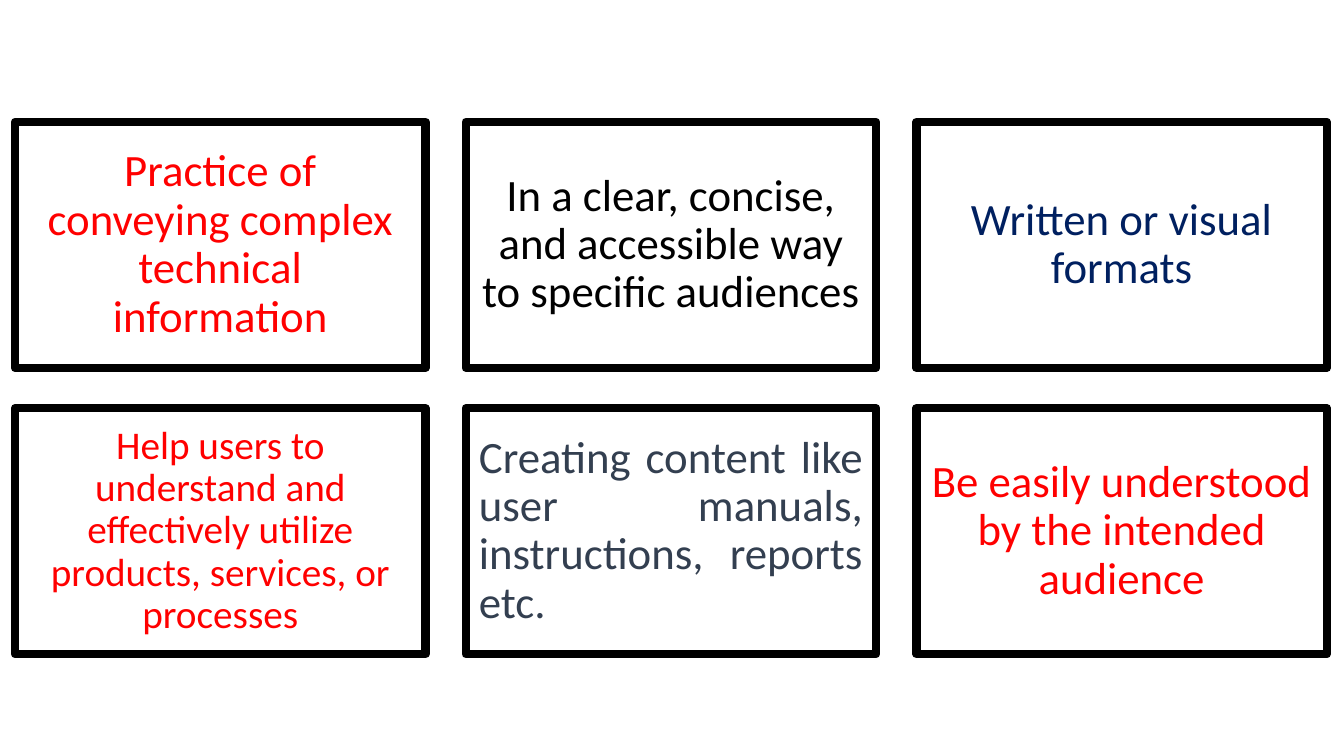
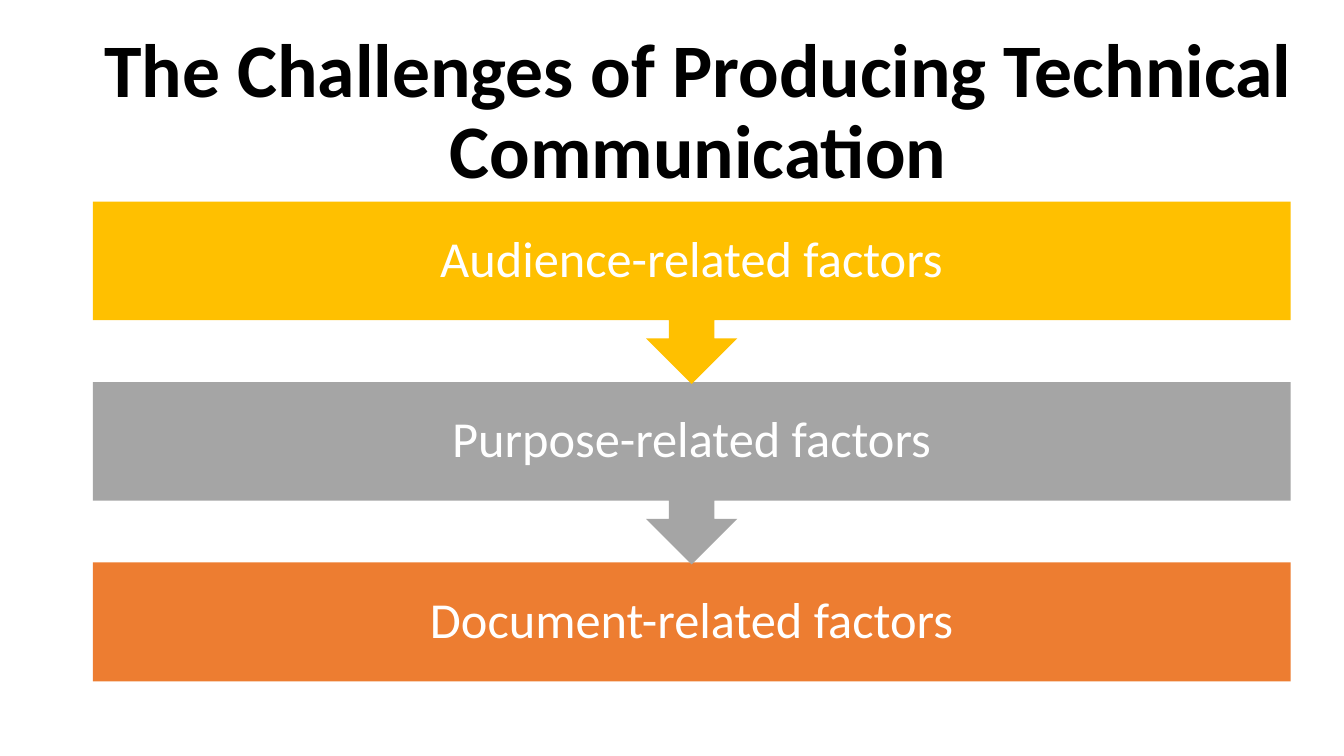
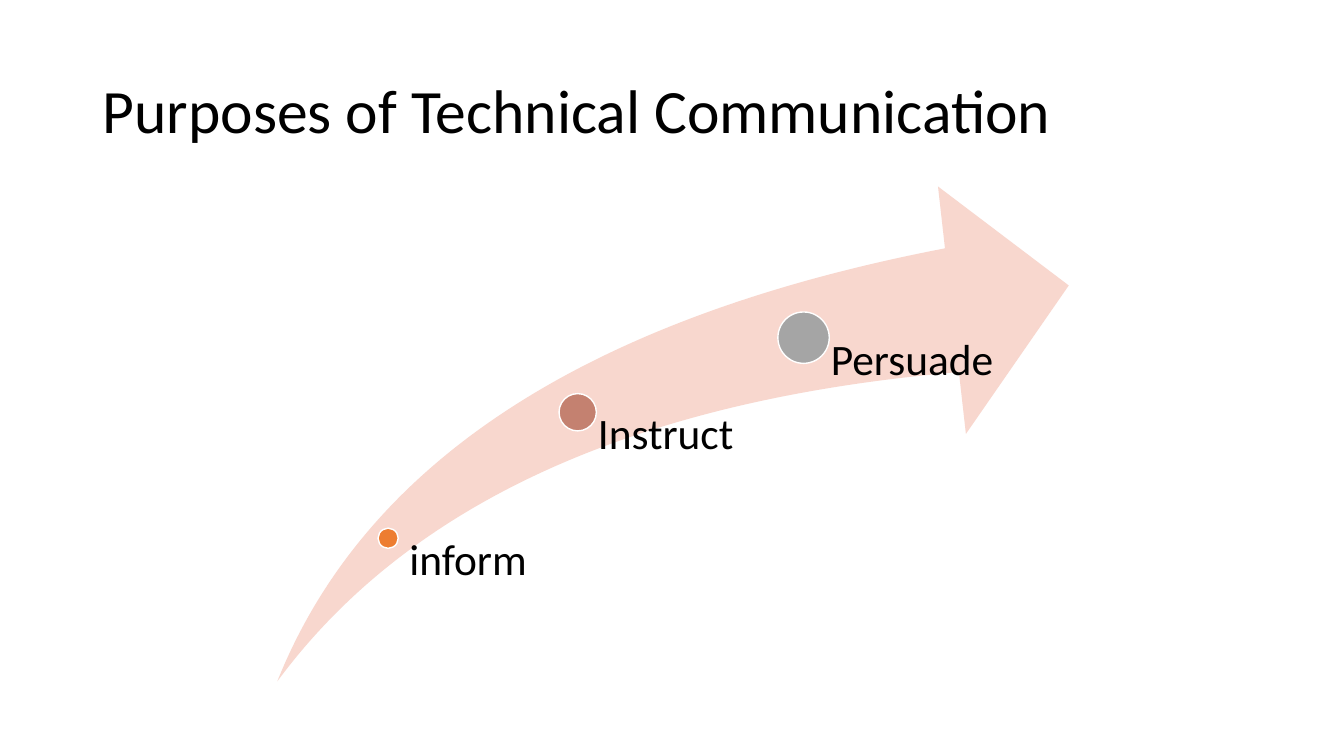
from dataclasses import dataclass
from pptx import Presentation
from pptx.dml.color import RGBColor
from pptx.enum.shapes import MSO_SHAPE
from pptx.enum.text import MSO_ANCHOR, MSO_AUTO_SIZE, PP_ALIGN
from pptx.util import Inches, Pt


@dataclass(frozen=True)
class Theme:
    font: str = "Calibri"
    black: str = "000000"
    white: str = "FFFFFF"
    red: str = "FF0000"
    navy: str = "002060"
    slate: str = "333F50"
    orange: str = "ED7D31"
    gray: str = "A5A5A5"
    gold: str = "FFC000"
    clay: str = "C48170"
    blush: str = "F8D7CE"
    title_size: int = 44
    large_title_size: int = 54
    band_size: int = 36
    card_size: int = 32
    small_card_size: int = 28
    label_size: int = 31
    line_spacing: float = 0.9


THEME = Theme()
TITLE_ONLY, BLANK = 5, 6

CARDS = [
    ("Practice of conveying complex technical information", THEME.red, THEME.card_size, PP_ALIGN.CENTER),
    ("In a clear, concise, and accessible way to specific audiences", THEME.black, THEME.card_size, PP_ALIGN.CENTER),
    ("Written or visual formats", THEME.navy, THEME.card_size, PP_ALIGN.CENTER),
    ("Help users to understand and effectively utilize products, services, or processes",
     THEME.red, THEME.small_card_size, PP_ALIGN.CENTER),
    ("Creating content like user manuals, instructions, reports etc.",
     THEME.slate, THEME.card_size, PP_ALIGN.JUSTIFY),
    ("Be easily understood by the intended audience", THEME.red, THEME.card_size, PP_ALIGN.CENTER),
]

CHALLENGES_TITLE = "The Challenges of Producing Technical Communication"
FACTORS = [
    ("Audience-related factors", THEME.gold),
    ("Purpose-related factors", THEME.gray),
    ("Document-related factors", THEME.orange),
]

PURPOSES_TITLE = "Purposes of Technical Communication"
PURPOSES = [
    ("inform", THEME.orange, 3.85, 5.34, 0.2, 0.21),
    ("Instruct", THEME.clay, 5.73, 4.09, 0.37, 0.2),
    ("Persuade", THEME.gray, 7.97, 3.35, 0.51, 0.27),
]


def write(shape, text, size, color, align=PP_ALIGN.CENTER, anchor=MSO_ANCHOR.MIDDLE,
          bold=False, insets=(0.1, 0.05, 0.1, 0.05)):
    frame = shape.text_frame
    frame.text = text
    frame.word_wrap = True
    frame.auto_size = MSO_AUTO_SIZE.NONE
    frame.vertical_anchor = anchor
    frame.margin_left, frame.margin_top, frame.margin_right, frame.margin_bottom = map(Inches, insets)
    paragraph = frame.paragraphs[0]
    paragraph.alignment = align
    paragraph.line_spacing = THEME.line_spacing
    font = paragraph.runs[0].font
    font.name, font.size, font.bold = THEME.font, Pt(size), bold
    font.color.rgb = RGBColor.from_string(color)


def add_filled(slide, kind, box, fill, line=None, line_width=0):
    shape = slide.shapes.add_shape(kind, *map(Inches, box))
    shape.shadow.inherit = False
    shape.fill.solid()
    shape.fill.fore_color.rgb = RGBColor.from_string(fill)
    if line:
        shape.line.color.rgb = RGBColor.from_string(line)
        shape.line.width = Pt(line_width)
    else:
        shape.line.fill.background()
    return shape


def add_titled_slide(presentation, text, width, size, align, bold=False):
    slide = presentation.slides.add_slide(presentation.slide_layouts[TITLE_ONLY])
    title = slide.shapes.title
    title.left, title.top, title.width, title.height = map(Inches, (0.92, 0.4, width, 1.45))
    write(title, text, size, THEME.black, align, bold=bold)
    return slide


def build_definition(presentation):
    slide = presentation.slides.add_slide(presentation.slide_layouts[BLANK])
    left, top, width, height, gap, columns = 0.15, 1.21, 4.07, 2.44, 0.4, 3
    for index, (text, color, size, align) in enumerate(CARDS):
        row, column = divmod(index, columns)
        box = (left + column * (width + gap), top + row * (height + gap), width, height)
        card = add_filled(slide, MSO_SHAPE.RECTANGLE, box, THEME.white, THEME.black, 6)
        write(card, text, size, color, align, insets=(0.13,) * 4)


def build_challenges(presentation):
    slide = add_titled_slide(presentation, CHALLENGES_TITLE, 12.01, THEME.large_title_size,
                             PP_ALIGN.CENTER, bold=True)
    left, top, width, step, callout_height, band_height = 0.92, 2, 11.88, 1.79, 1.81, 1.18
    last = len(FACTORS) - 1
    for index, (text, color) in reversed(list(enumerate(FACTORS))):
        if index == last:
            kind, height = MSO_SHAPE.RECTANGLE, band_height
        else:
            kind, height = MSO_SHAPE.DOWN_ARROW_CALLOUT, callout_height
        band = add_filled(slide, kind, (left, top + index * step, width, height), color)
        write(band, text, THEME.band_size, THEME.white, insets=(0.28,) * 4)


def build_purposes(presentation):
    slide = add_titled_slide(presentation, PURPOSES_TITLE, 11.5, THEME.title_size, PP_ALIGN.LEFT)
    left, top, width, height = 2.75, 1.85, 7.85, 4.91
    arrow = add_filled(slide, MSO_SHAPE.SWOOSH_ARROW, (left, top, width, height), THEME.blush)
    arrow.adjustments[0] = arrow.adjustments[1] = 0.25
    for text, color, center_x, center_y, diameter, inset in PURPOSES:
        dot = (center_x - diameter / 2, center_y - diameter / 2, diameter, diameter)
        add_filled(slide, MSO_SHAPE.OVAL, dot, color, THEME.white, 1)
        label_box = (center_x, center_y, 1.88, top + height - center_y)
        label = slide.shapes.add_textbox(*map(Inches, label_box))
        write(label, text, THEME.label_size, THEME.black, PP_ALIGN.LEFT, MSO_ANCHOR.TOP,
              insets=(inset, 0, 0, 0))


def main():
    presentation = Presentation()
    presentation.slide_width, presentation.slide_height = Inches(13.33), Inches(7.5)
    build_definition(presentation)
    build_challenges(presentation)
    build_purposes(presentation)
    presentation.save("out.pptx")


if __name__ == "__main__":
    main()
